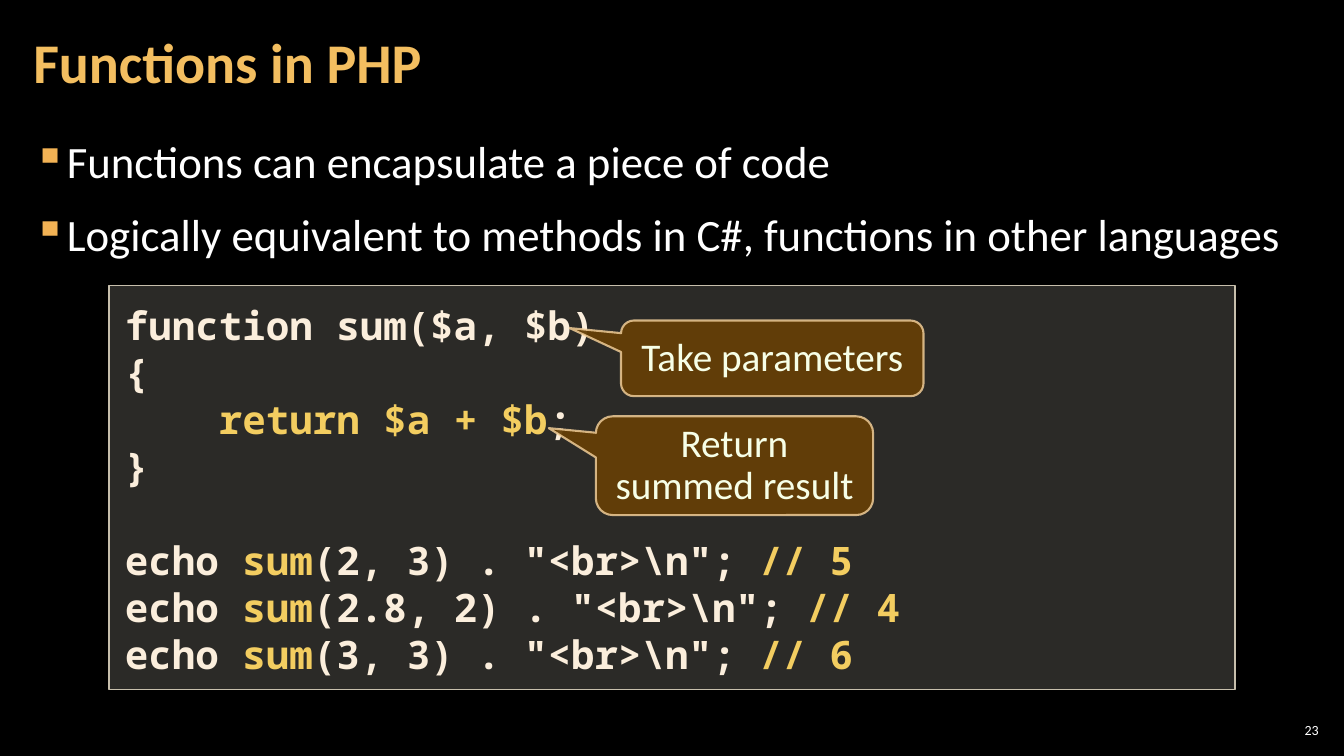
"""Build the slide that explains functions in PHP."""
from lxml import etree
from pptx import Presentation
from pptx.dml.color import RGBColor
from pptx.enum.shapes import MSO_SHAPE
from pptx.enum.text import MSO_ANCHOR, PP_ALIGN
from pptx.oxml.ns import qn
from pptx.util import Inches, Pt

CREAM, YELLOW = "FBEEDC", "F3CD60"


def paint(color_format, color, alpha=100):
    color_format.rgb = RGBColor.from_string(color)
    if alpha < 100:
        for element in color_format._xFill.iter(qn("a:srgbClr")):
            etree.SubElement(element, qn("a:alpha"), val=str(alpha * 1000))


def style(font, name, size, color, bold=False):
    font.name, font.size, font.bold = name, Pt(size), bold
    paint(font.color, color)


presentation = Presentation()
presentation.slide_width = Inches(13.33)
presentation.slide_height = Inches(7.5)
slide = presentation.slides.add_slide(presentation.slide_layouts[5])
slide.background.fill.solid()
paint(slide.background.fill.fore_color, "000000")

title = slide.shapes.title
title.left, title.top = Inches(0.21), Inches(0.04)
title.width, title.height = Inches(10.47), Inches(1.21)
title_frame = title.text_frame
title_frame.text = "Functions in PHP"
title_frame.vertical_anchor = MSO_ANCHOR.MIDDLE
title_frame.margin_left = title_frame.margin_right = Inches(0.12)
title_frame.margin_top = title_frame.margin_bottom = Inches(0.04)
title_paragraph = title_frame.paragraphs[0]
title_paragraph.alignment = PP_ALIGN.LEFT
title_paragraph.line_spacing = 0.9
style(title_paragraph.runs[0].font, "Calibri", 40, "F3BE60", True)

body = slide.shapes.add_textbox(Inches(0.21), Inches(1.26), Inches(12.91), Inches(6.09))
body_frame = body.text_frame
body_frame.word_wrap = True
body_frame.margin_left = body_frame.margin_right = Inches(0.12)
body_frame.margin_top = body_frame.margin_bottom = Inches(0.04)
body_frame.text = (
    "Functions can encapsulate a piece of code\n"
    "Logically equivalent to methods in C#, functions in other languages"
)
for index, paragraph in enumerate(body_frame.paragraphs):
    paragraph.line_spacing = 1.05
    paragraph.space_before = Pt(6 if index else 0)
    paragraph.space_after = Pt(6)
    properties = paragraph._p.get_or_add_pPr()
    properties.set("marL", str(Inches(0.33)))
    properties.set("indent", str(Inches(-0.33)))
    bullet_color = etree.SubElement(properties, qn("a:buClr"))
    etree.SubElement(bullet_color, qn("a:srgbClr"), val="F2B254")
    etree.SubElement(properties, qn("a:buChar"), char="▪")
    style(paragraph.runs[0].font, "Calibri", 32, "FFFFFF")

code_box = slide.shapes.add_shape(
    MSO_SHAPE.RECTANGLE, Inches(1.08), Inches(2.83), Inches(11.17), Inches(4.01)
)
code_box.shadow.inherit = False
code_box.fill.solid()
paint(code_box.fill.fore_color, "D9D5C7", 20)
code_box.line.width = Pt(1)
paint(code_box.line.color, "C7BFAC")
code_frame = code_box.text_frame
code_frame.word_wrap = True
code_frame.vertical_anchor = MSO_ANCHOR.TOP
code_frame.margin_left = code_frame.margin_right = Inches(0.16)
code_frame.margin_top, code_frame.margin_bottom = Inches(0.16), Inches(0.12)

code_lines = [
    [("function sum($a, $b)", CREAM)],
    [("{", CREAM)],
    [("    ", CREAM), ("return $a + $b", YELLOW), (";", CREAM)],
    [("}", CREAM)],
    [],
]
for arguments, result in [("2, 3", 5), ("2.8, 2", 4), ("3, 3", 6)]:
    code_lines.append([
        ("echo ", CREAM),
        ("sum", YELLOW),
        (f'({arguments}) . "<br>\\n"; ', CREAM),
        (f"// {result}", YELLOW),
    ])
for index, code_line in enumerate(code_lines):
    paragraph = code_frame.add_paragraph() if index else code_frame.paragraphs[0]
    paragraph.alignment = PP_ALIGN.LEFT
    paragraph.line_spacing = Pt(33.6)
    paragraph.font.size = Pt(28)
    for text, color in code_line:
        run = paragraph.add_run()
        run.text = text
        style(run.font, "Noto Sans Mono", 28, color, True)

callouts = [
    ("Take parameters", 6.16, 3.18, 3, 0.75, (-0.67, -0.4, 0.17)),
    ("Return summed result", 5.91, 4.13, 2.75, 0.98, (-0.67, -0.38, 0.17)),
]
for text, left, top, width, height, adjustments in callouts:
    callout = slide.shapes.add_shape(
        MSO_SHAPE.ROUNDED_RECTANGULAR_CALLOUT,
        Inches(left), Inches(top), Inches(width), Inches(height),
    )
    for index, adjustment in enumerate(adjustments):
        callout.adjustments[index] = adjustment
    callout.shadow.inherit = False
    callout.fill.solid()
    paint(callout.fill.fore_color, "643F07", 95)
    callout.line.width = Pt(1.5)
    paint(callout.line.color, "F8D49E", 80)
    callout.text_frame.text = text
    callout.text_frame.word_wrap = True
    callout.text_frame.vertical_anchor = MSO_ANCHOR.MIDDLE
    paragraph = callout.text_frame.paragraphs[0]
    paragraph.alignment = PP_ALIGN.CENTER
    paragraph.line_spacing = Pt(30)
    style(paragraph.runs[0].font, "Calibri", 28, "F7FFE7")

number = slide.shapes.add_textbox(Inches(12.65), Inches(7.14), Inches(0.47), Inches(0.21))
number_frame = number.text_frame
number_frame.text = "23"
number_frame.word_wrap = True
number_frame.vertical_anchor = MSO_ANCHOR.MIDDLE
number_frame.margin_left = number_frame.margin_right = Inches(0.04)
number_frame.margin_top = number_frame.margin_bottom = Inches(0.04)
number_frame.paragraphs[0].alignment = PP_ALIGN.RIGHT
style(number_frame.paragraphs[0].runs[0].font, "Calibri", 10, "FFFFFF")

presentation.save("out.pptx")
